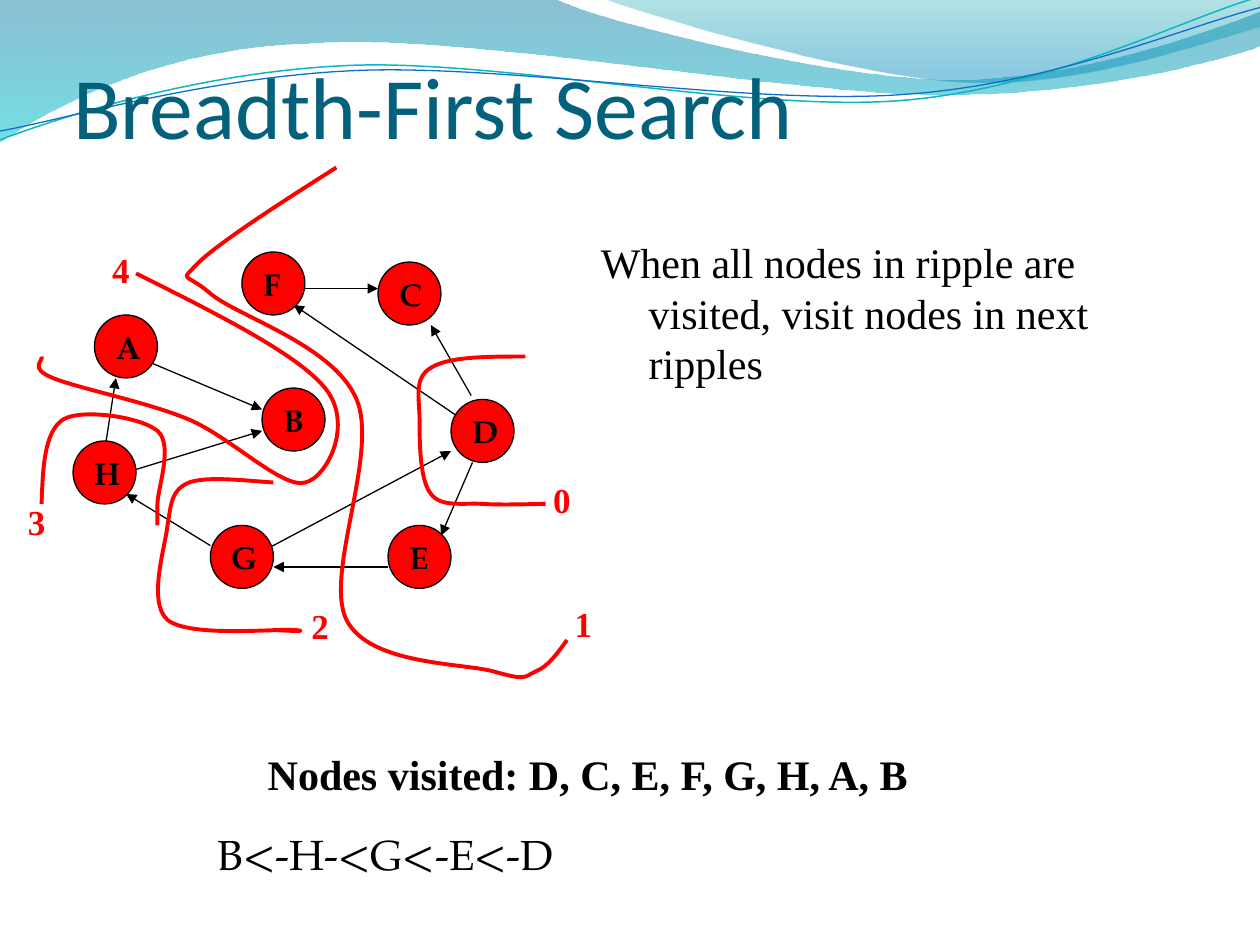
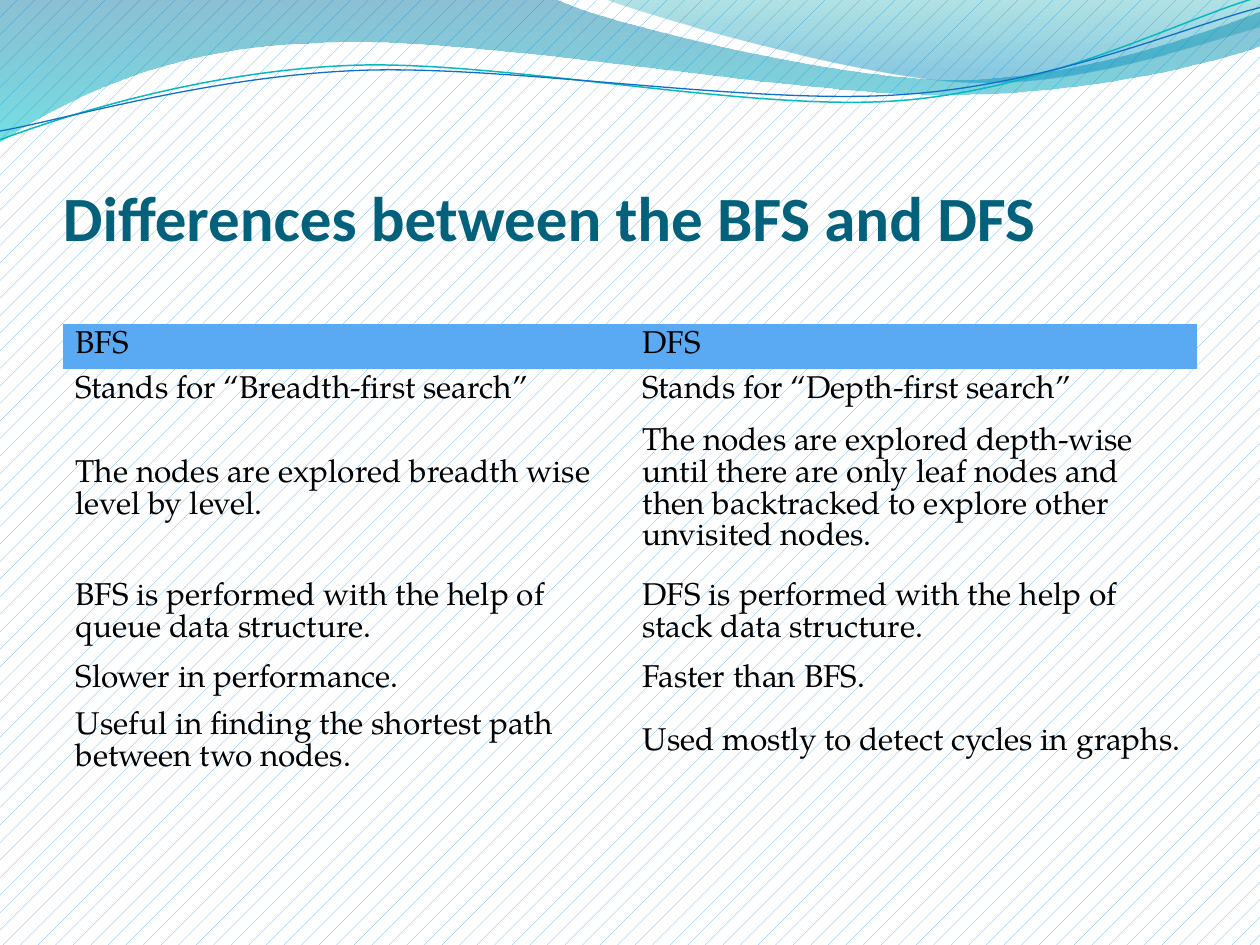
from pptx import Presentation
from pptx.dml.color import RGBColor
from pptx.enum.dml import MSO_PATTERN
from pptx.enum.shapes import MSO_CONNECTOR, MSO_SHAPE
from pptx.enum.text import MSO_ANCHOR, MSO_AUTO_SIZE, PP_ALIGN
from pptx.oxml.ns import qn
from pptx.util import Inches, Pt
from lxml.etree import SubElement

COLORS = {
    "title": "04617B", "text": "000000", "paper": "FFFFFF",
    "node": "FF0000", "ripple": "FF0000", "sky": "59AAF2",
    "wave_teal": "0AB8BF", "wave_blue": "0F6FC6",
    "band_deep": "0074A1", "band_cyan": "00C6CF",
    "crest_teal": "00A1A9", "crest_blue": "008BBF",
}
HEADING, BODY, NOTE = "Calibri", "TeX Gyre Pagella", "Times New Roman"
PLAIN_TABLE_STYLE = "{2D5ABB26-0587-4C30-8999-92F81FD0307C}"
HANGING = 0.38

# Wave outlines: a start point, then lines (2 numbers) and curves (6 numbers)
BAND = [(0, 0), (4.4, -0.01), (4.76, 0.17, 6.64, 0.63, 7.58, 0.63),
        (8.53, 0.63, 9.58, 0.26, 10, 0.09), (10.01, 0.36),
        (9.83, 0.44, 8.7, 0.76, 7.46, 0.75), (6.22, 0.75, 3.82, 0.28, 2.57, 0.34),
        (1.29, 0.36, 0.46, 0.83, -0.01, 1.13)]
CREST = [(4.79, -0.01), (5.09, 0.11, 6.82, 0.62, 7.69, 0.65),
         (8.56, 0.69, 9.61, 0.32, 10, 0.21), (10, 0)]
TEAL_WAVE = [(0, 1.11), (0.48, 0.93, 1.58, 0.57, 2.77, 0.52),
             (3.95, 0.47, 5.93, 0.89, 7.13, 0.8), (8.33, 0.71, 9.38, 0.15, 9.98, -0.02)]
BLUE_WAVE = [(0, 1.04), (0.47, 0.96, 1.64, 0.61, 2.83, 0.56),
             (4.03, 0.51, 5.97, 0.84, 7.17, 0.75), (8.36, 0.67, 9.41, 0.21, 10, 0.06)]

# Graph, relative to its box
NODES = {"A": (0.75, 1.5), "H": (0.58, 2.5), "B": (2.08, 2.08), "F": (1.92, 1),
         "E": (3.08, 3.17), "D": (3.58, 2.17), "C": (3, 1.08), "G": (1.67, 3.17)}
EDGES = {
    "DF": (3.67, 2.33, 2.33, 1.42), "DE": (3.75, 2.67, 3.5, 3.25),
    "HB": (1, 2.75, 2.08, 2.42), "GD": (2, 3.42, 3.58, 2.58),
    "HA": (0.83, 2.58, 0.92, 2), "AB": (1.08, 1.83, 2.08, 2.25),
    "DC": (3.74, 2.14, 3.42, 1.58), "EG": (3.08, 3.5, 2.17, 3.5),
    "GH": (1.67, 3.33, 1, 2.92), "FC": (2.42, 1.29, 3, 1.29),
}
# Ripple number: label corner, outline
RIPPLES = {
    "1": ((4.42, 3.73), [
        (2.67, 0.33), (2.21, 0.62, 1.75, 0.92, 1.58, 1.08),
        (1.42, 1.25, 1.46, 1.15, 1.67, 1.33), (1.88, 1.51, 2.65, 1.74, 2.83, 2.17),
        (3.01, 2.6, 2.57, 3.56, 2.75, 3.92), (2.93, 4.28, 3.67, 4.26, 3.92, 4.33),
        (4.17, 4.4, 4.15, 4.38, 4.25, 4.33), (4.35, 4.29, 4.42, 4.19, 4.5, 4.08)]),
    "0": ((4.25, 2.75), [
        (4.17, 1.83), (3.86, 1.83, 3.56, 1.83, 3.42, 1.92),
        (3.28, 2, 3.33, 2.17, 3.33, 2.33), (3.33, 2.5, 3.33, 2.81, 3.42, 2.92),
        (3.5, 3.03, 3.68, 2.99, 3.83, 3), (3.99, 3.01, 4.25, 3, 4.33, 3)]),
    "2": ((2.33, 3.75), [
        (2.17, 2.83), (1.9, 2.81, 1.64, 2.78, 1.5, 2.83),
        (1.36, 2.89, 1.36, 2.99, 1.33, 3.17), (1.31, 3.35, 1.17, 3.78, 1.33, 3.92),
        (1.5, 4.06, 2.19, 3.99, 2.33, 4), (2.47, 4.01, 2.32, 4.01, 2.17, 4)]),
    "3": ((0.08, 2.92), [
        (0.33, 3), (0.34, 2.72, 0.35, 2.43, 0.5, 2.33),
        (0.65, 2.24, 1.12, 2.31, 1.25, 2.42), (1.38, 2.53, 1.25, 2.88, 1.25, 3),
        (1.25, 3.12, 1.25, 3.15, 1.25, 3.17)]),
    "4": ((0.75, 0.92), [
        (1.08, 1.17), (1.72, 1.49, 2.36, 1.81, 2.58, 2.08),
        (2.81, 2.36, 2.6, 2.79, 2.42, 2.83), (2.24, 2.88, 1.83, 2.47, 1.5, 2.33),
        (1.17, 2.19, 0.61, 2.08, 0.42, 2), (0.22, 1.92, 0.35, 1.86, 0.33, 1.83)]),
}

COMPARISON = [
    ("BFS", "DFS"),
    ("Stands for “Breadth-first search”", "Stands for “Depth-first search”"),
    ("The nodes are explored breadth wise level by level.",
     "The nodes are explored depth-wise until there are only leaf nodes "
     "and then backtracked to explore other unvisited nodes."),
    ("BFS is performed with the help of queue data structure.",
     "DFS is performed with the help of stack data structure."),
    ("Slower in performance.", "Faster than BFS."),
    ("Useful in finding the shortest path between two nodes.",
     "Used mostly to detect cycles in graphs."),
]
ROW_HEIGHTS = [0.36, 0.35, 1.11, 0.71, 0.35, 0.6]
CELL_MARGIN = 0.02


def color(name):
    return RGBColor.from_string(COLORS[name])


def add_run(paragraph, text, size, font, ink="text", bold=False):
    run = paragraph.add_run()
    run.text = text
    run.font.size, run.font.name, run.font.bold = Pt(size), font, bold
    run.font.color.rgb = color(ink)


def add_text(slide, box, text, size, font, ink="text", bold=False,
             align=PP_ALIGN.LEFT, hanging=0):
    textbox = slide.shapes.add_textbox(*map(Inches, box))
    frame = textbox.text_frame
    frame.word_wrap = True
    paragraph = frame.paragraphs[0]
    paragraph.alignment = align
    if hanging:
        properties = paragraph._p.get_or_add_pPr()
        properties.set("marL", str(Inches(hanging)))
        properties.set("indent", str(-Inches(hanging)))
    add_run(paragraph, text, size, font, ink, bold)
    return frame


def add_outline(slide, outline, left=0, top=0, close=False):
    """Draw a freeform whose 6-number segments are Bézier curves."""
    segments = [[(Inches(left + x), Inches(top + y))
                 for x, y in zip(segment[::2], segment[1::2])] for segment in outline]
    builder = slide.shapes.build_freeform(*segments[0][0])
    builder.add_line_segments([point for segment in segments[1:] for point in segment], close)
    shape = builder.convert_to_shape()
    shape.shadow.inherit = False
    # Join each three control points into one curve
    steps = iter(list(shape._element.iter(qn("a:lnTo"))))
    for segment in segments[1:]:
        parts = [next(steps) for _ in segment]
        if len(parts) == 3:
            track = parts[0].getparent()
            curve = SubElement(track, qn("a:cubicBezTo"))
            track.replace(parts[0], curve)
            for part in parts:
                curve.append(part[0])
            for part in parts[1:]:
                track.remove(part)
    return shape


def add_curve(slide, outline, ink, width, left=0, top=0):
    curve = add_outline(slide, outline, left, top)
    curve.fill.background()
    curve.line.color.rgb = color(ink)
    curve.line.width = Pt(width)


def add_tinted_band(slide, outline, stops):
    band = add_outline(slide, outline, close=True)
    band.line.fill.background()
    band.fill.gradient()
    band.fill.gradient_angle = 270
    for stop, (position, ink, opacity) in zip(band.fill.gradient_stops, stops):
        stop.position = position
        stop.color.rgb = color(ink)
    tints = band._element.spPr.find(qn("a:gradFill")).iter(qn("a:srgbClr"))
    for tint, (position, ink, opacity) in zip(tints, stops):
        SubElement(tint, qn("a:alpha")).set("val", str(opacity * 1000))


def add_waves(slide):
    add_tinted_band(slide, BAND, [(0, "band_deep", 45), (1, "band_cyan", 55)])
    add_tinted_band(slide, CREST, [(0, "crest_teal", 30), (0.8, "crest_blue", 45)])
    add_curve(slide, TEAL_WAVE, "wave_teal", 0.85)
    add_curve(slide, BLUE_WAVE, "wave_blue", 0.75)


def add_title(slide, box, text, size, bold=False):
    frame = add_text(slide, box, text, size, HEADING, "title", bold)
    frame.vertical_anchor = MSO_ANCHOR.BOTTOM
    frame.margin_left = frame.margin_right = frame.margin_bottom = 0


def add_edge(slide, start_x, start_y, end_x, end_y):
    edge = slide.shapes.add_connector(
        MSO_CONNECTOR.STRAIGHT, *map(Inches, (start_x, start_y, end_x, end_y)))
    edge.line.color.rgb = color("text")
    edge.line.width = Pt(0.75)
    SubElement(edge.line._get_or_add_ln(), qn("a:tailEnd")).set("type", "triangle")
    SubElement(edge._element.spPr, qn("a:effectLst"))


def add_node(slide, left, top, letter):
    node = slide.shapes.add_shape(
        MSO_SHAPE.OVAL, Inches(left), Inches(top), Inches(0.5), Inches(0.5))
    node.shadow.inherit = False
    node.fill.solid()
    node.fill.fore_color.rgb = color("node")
    node.line.color.rgb = color("text")
    node.line.width = Pt(0.75)
    frame = node.text_frame
    frame.word_wrap = False
    frame.vertical_anchor = MSO_ANCHOR.MIDDLE
    frame.paragraphs[0].alignment = PP_ALIGN.LEFT
    add_run(frame.paragraphs[0], letter, 18, BODY, bold=True)


def add_graph(slide, left, top):
    for x1, y1, x2, y2 in EDGES.values():
        add_edge(slide, left + x1, top + y1, left + x2, top + y2)
    for letter, (x, y) in NODES.items():
        add_node(slide, left + x, top + y, letter)
    for number, ((x, y), outline) in RIPPLES.items():
        add_curve(slide, outline, "ripple", 2.25, left, top)
        add_text(slide, (left + x, top + y, 0.42, 0.43), number, 20, NOTE, "ripple",
                 True, PP_ALIGN.CENTER, HANGING)


def add_comparison(slide, left, top, width):
    frame = slide.shapes.add_table(
        len(COMPARISON), 2, Inches(left), Inches(top), Inches(width), Inches(sum(ROW_HEIGHTS)))
    table = frame.table
    table.first_row = table.horz_banding = False
    next(frame._element.iter(qn("a:tableStyleId"))).text = PLAIN_TABLE_STYLE
    for row, height, texts in zip(table.rows, ROW_HEIGHTS, COMPARISON):
        row.height = Inches(height)
        for cell, text in zip(row.cells, texts):
            cell.vertical_anchor = MSO_ANCHOR.MIDDLE
            cell.margin_top = cell.margin_bottom = Inches(CELL_MARGIN)
            if texts is COMPARISON[0]:
                cell.fill.solid()
                cell.fill.fore_color.rgb = color("sky")
            else:
                cell.fill.background()
            add_run(cell.text_frame.paragraphs[0], text, 18, BODY)


def build_search_slide(slide):
    slide.background.fill.solid()
    slide.background.fill.fore_color.rgb = color("paper")
    add_waves(slide)
    add_graph(slide, 0, 1)
    # Explanation and results
    notes = [
        add_text(slide, (1.5, 5.89, 6.33, 0.5), "Nodes visited: D, C, E, F, G, H, A, B",
                 24, NOTE, bold=True, align=PP_ALIGN.CENTER, hanging=HANGING),
        add_text(slide, (4.67, 1.83, 4.17, 1.3),
                 "When all nodes in ripple are visited, visit nodes in next ripples",
                 24, NOTE, hanging=HANGING),
        add_text(slide, (1.63, 6.53, 5.66, 0.5), "B<-H-<G<-E<-D", 24, BODY),
    ]
    for note in notes:
        note.auto_size = MSO_AUTO_SIZE.SHAPE_TO_FIT_TEXT
    add_title(slide, (0.58, 0, 9, 1.25), "Breadth-First Search", 50)


def build_comparison_slide(slide):
    backdrop = slide.background.fill
    backdrop.patterned()
    backdrop.pattern = MSO_PATTERN.PERCENT_5
    backdrop.fore_color.rgb = color("sky")
    backdrop.back_color.rgb = color("paper")
    add_waves(slide)
    add_title(slide, (0.5, 0.77, 9, 1.25), "Differences between the BFS and DFS", 36, True)
    add_comparison(slide, 0.5, 2.57, 9)


def main():
    deck = Presentation()
    deck.slide_width, deck.slide_height = Inches(10), Inches(7.5)
    for build in (build_search_slide, build_comparison_slide):
        build(deck.slides.add_slide(deck.slide_layouts[6]))
    deck.save("out.pptx")


if __name__ == "__main__":
    main()
